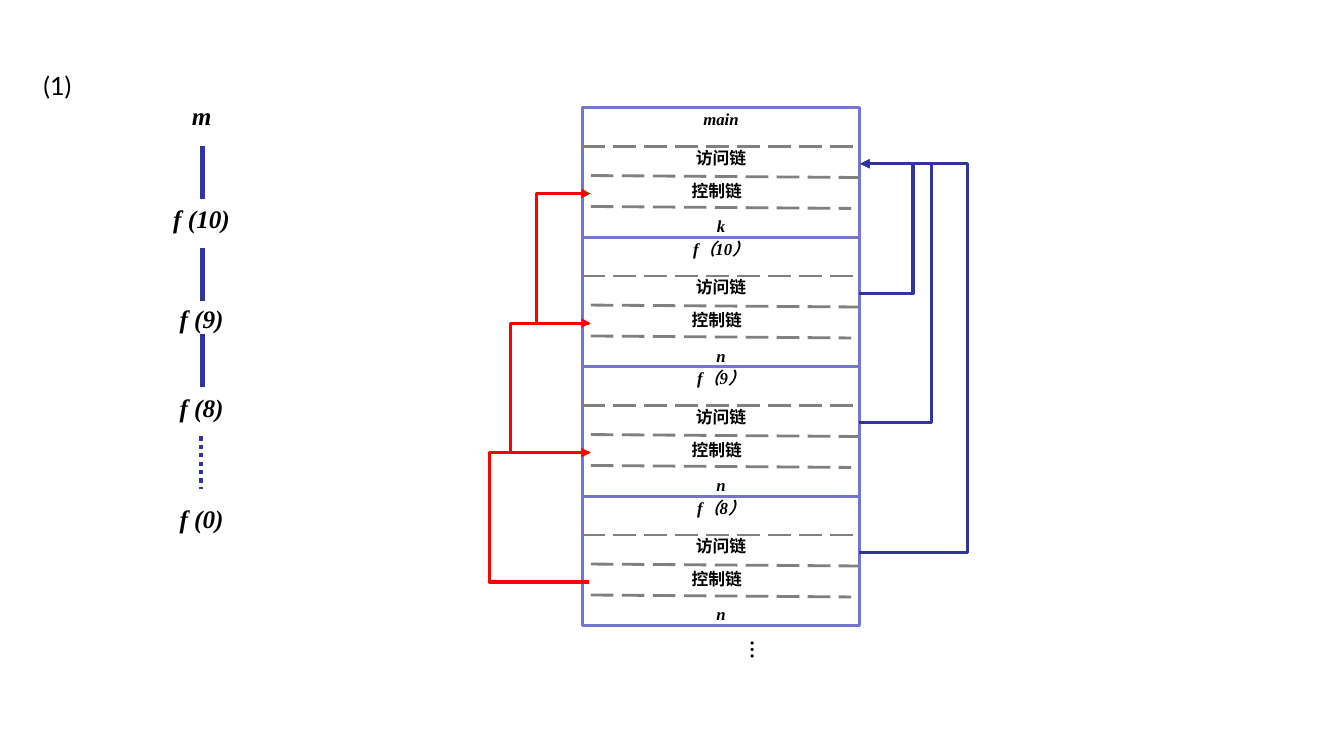
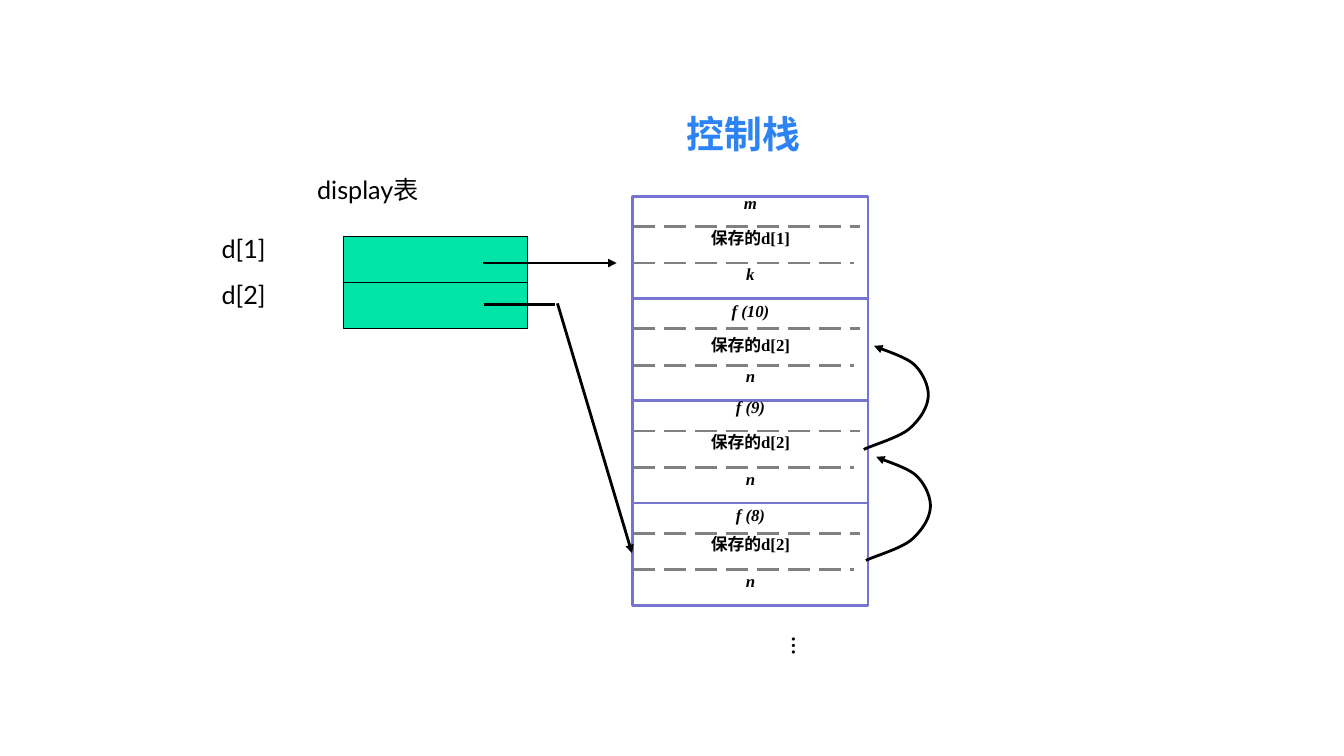
from collections import namedtuple

from pptx import Presentation
from pptx.dml.color import RGBColor
from pptx.enum.dml import MSO_LINE
from pptx.enum.shapes import MSO_CONNECTOR as CONNECTOR, MSO_SHAPE as SHAPE
from pptx.enum.text import MSO_ANCHOR, MSO_AUTO_SIZE as AUTO_SIZE, PP_ALIGN as ALIGN
from pptx.oxml.ns import qn
from pptx.util import Pt
from lxml.etree import SubElement

COLORS = {
    "ink": "000000",
    "frame": "7575D1",
    "dash": "808080",
    "access": "333399",
    "control": "FF0000",
    "title": "2D83F4",
    "cell": "00E4A8",
}
SANS, SERIF, HAN = "Lato", "Times New Roman", "Noto Sans CJK SC"

Box = namedtuple("Box", "left top width height")
Style = namedtuple("Style", "font size bold italic color", defaults=(False, False, "ink"))

PLAIN = Style(SANS, 18)
NODE = Style(SERIF, 18, True, True)
FIELD = Style(SERIF, 12, True, True)
SLOT = Style(SERIF, 12, True)
HAN_FIELD = Style(HAN, 12, True)
HEADING = Style(HAN, 27, True, False, "title")

STANDARD_INSET = (7.2, 3.6)
FIELD_INSET = (7.2, 0.7)


def color(name):
    return RGBColor.from_string(COLORS[name])


def points(values):
    return [Pt(value) for value in values]


def write(shape, runs, align=ALIGN.LEFT, inset=STANDARD_INSET):
    frame = shape.text_frame
    frame.word_wrap = True
    frame.auto_size = AUTO_SIZE.NONE
    frame.vertical_anchor = MSO_ANCHOR.TOP
    frame.margin_left = frame.margin_right = Pt(inset[0])
    frame.margin_top = frame.margin_bottom = Pt(inset[1])
    para = frame.paragraphs[0]
    para.alignment = align
    for words, style in runs:
        span = para.add_run()
        span.text = words
        font = span.font
        font.name, font.size = style.font, Pt(style.size)
        font.bold, font.italic = style.bold, style.italic
        font.color.rgb = color(style.color)
        SubElement(font._element, qn("a:ea")).set("typeface", HAN)


def add_text(page, box, runs, align=ALIGN.LEFT, inset=STANDARD_INSET):
    shape = page.shapes.add_textbox(*points(box))
    write(shape, runs, align, inset)
    return shape


def add_field(page, box, *runs):
    add_text(page, box, runs, ALIGN.CENTER, FIELD_INSET)


def add_title(page, box, runs, align=ALIGN.LEFT):
    title = page.shapes.title
    title.left, title.top, title.width, title.height = points(box)
    write(title, runs, align)


def add_ellipsis(page, box):
    shape = add_text(page, box, [("…", PLAIN)])
    shape.text_frame._txBody.bodyPr.set("vert", "eaVert")


def add_rectangle(page, box, line, weight, fill=None):
    shape = page.shapes.add_shape(SHAPE.RECTANGLE, *points(box))
    shape.shadow.inherit = False
    if fill:
        shape.fill.solid()
        shape.fill.fore_color.rgb = color(fill)
    else:
        shape.fill.background()
    shape.line.color.rgb = color(line)
    shape.line.width = Pt(weight)


def style_line(shape, name, weight, dash=None, arrow=False):
    line = shape.line
    line.color.rgb = color(name)
    line.width = Pt(weight)
    if dash:
        line.dash_style = dash
    if arrow:
        SubElement(line._get_or_add_ln(), qn("a:tailEnd")).set("type", "triangle")


def add_line(page, start, end, name, weight, dash=None, arrow=False, kind=CONNECTOR.STRAIGHT):
    line = page.shapes.add_connector(kind, *points((*start, *end)))
    style_line(line, name, weight, dash, arrow)
    SubElement(line._element.spPr, qn("a:effectLst"))
    return line


def add_dash(page, start, end):
    add_line(page, start, end, "dash", 2, MSO_LINE.LONG_DASH)


def add_link(page, x, start_y, end_y, bend_x, name):
    run = 1
    link = add_line(page, (x, start_y), (x + run, end_y), name, 2.25,
                    arrow=True, kind=CONNECTOR.ELBOW)
    guides = link._element.spPr.find(qn("a:prstGeom")).get_or_add_avLst()
    guide = SubElement(guides, qn("a:gd"))
    guide.set("name", "adj1")
    guide.set("fmla", f"val {round((bend_x - x) / run * 100000)}")


def bezier(start, first, second, end, steps=12):
    for step in range(1, steps + 1):
        t = step / steps
        weights = ((1 - t) ** 3, 3 * t * (1 - t) ** 2, 3 * t * t * (1 - t), t ** 3)
        corners = (start, first, second, end)
        yield tuple(sum(w * p[axis] for w, p in zip(weights, corners)) for axis in (0, 1))


def add_return_curve(page, box):
    shape_points = [
        (0, 1), (0.13, 0.96), (0.52, 0.89), (0.69, 0.81),
        (0.86, 0.72), (0.98, 0.61), (1, 0.5),
        (1.02, 0.4), (0.92, 0.26), (0.78, 0.18),
        (0.64, 0.1), (0.29, 0.04), (0.16, 0),
    ]
    knots = [(box.left + x * box.width, box.top + y * box.height) for x, y in shape_points]
    track = [point for i in range(0, len(knots) - 1, 3) for point in bezier(*knots[i:i + 4])]
    builder = page.shapes.build_freeform(*points(knots[0]), scale=1.0)
    builder.add_line_segments([points(point) for point in track], close=False)
    curve = builder.convert_to_shape()
    curve.shadow.inherit = False
    curve.fill.background()
    style_line(curve, "ink", 2, arrow=True)


def add_call_tree(page, box):
    middle = box.left + box.width / 2
    calls = [("m", 0), ("f (10)", 73.4), ("f (9)", 144.7), ("f (8)", 208), ("f (0)", 287.3)]
    for name, offset in calls:
        add_text(page, Box(box.left, box.top + offset, box.width, 35),
                 [(name, NODE)], ALIGN.CENTER)
    for offset, dash in [(36, None), (108.8, None), (170, None), (243.3, MSO_LINE.ROUND_DOT)]:
        x = middle - 0.7 if dash else middle + 0.6
        top = box.top + offset
        add_line(page, (x, top), (x, top + 37.8), "access", 3, dash)


def add_linked_record(page, box, name, variable):
    left, top, width, height = box
    add_rectangle(page, box, "frame", 2)
    add_field(page, Box(left, top, width, 19.4), (name, FIELD))
    add_field(page, Box(left, top + 27.5, width, 24.5), ("访问链", HAN_FIELD))
    add_field(page, Box(left + 6, top + 51.2, width - 18, 19.4), ("控制链", HAN_FIELD))
    add_field(page, Box(left, top + 76.4, width, 16), (variable, FIELD))
    for inset, offset, end, slope in [(0, 27.7, 198, 0), (6, 48.4, 198, 1.4), (6, 70.5, 192, 1.4)]:
        add_dash(page, (left + inset, top + offset), (left + end, top + offset + slope))


def add_linked_stack(page, box):
    records = [("main", "k"), ("f（10）", "n"), ("f（9）", "n"), ("f（8）", "n")]
    pitch = box.height / len(records)
    tops = [box.top + pitch * i for i in range(len(records))]
    for top, record in zip(tops, records):
        add_linked_record(page, Box(box.left, top, box.width, pitch), *record)
    right = box.left + box.width
    for top, reach in zip(tops[1:], (38.5, 52, 78)):
        add_link(page, right - 0.5, top + 40, tops[0] + 40, right + reach, "access")
    for below, above, reach in zip(tops[1:], tops, (33, 52, 67)):
        add_link(page, box.left + 5, below + 61.3, above + 61.3, box.left - reach, "control")


def add_display_record(page, box, name, slot, variable, name_top, slot_top):
    left, top, width, height = box
    for offset, length in [(47.5, width - 10), (21.6, width - 6)]:
        add_dash(page, (left, top + offset), (left + length, top + offset))
    add_rectangle(page, box, "frame", 2)
    add_field(page, Box(left, top + name_top, width, 21), (name, FIELD))
    add_field(page, Box(left, top + slot_top, width, 19.4), ("保存的", HAN_FIELD), (slot, SLOT))
    add_field(page, Box(left, top + 47.5, width, 19.4), (variable, FIELD))


def add_display_stack(page, box):
    records = [
        ("m", "d[1]", "k", -3.5, 21.5),
        ("f (10)", "d[2]", "n", 0.5, 25),
        ("f (9)", "d[2]", "n", -3.5, 21.5),
        ("f (8)", "d[2]", "n", 0.5, 21.5),
    ]
    pitch = box.height / len(records)
    for i, record in enumerate(records):
        add_display_record(page, Box(box.left, box.top + pitch * i, box.width, pitch), *record)
    for left, top in [(165, 106.7), (166.5, 186)]:
        add_return_curve(page, Box(box.left + left, box.top + top, 46, 74))


def add_display_table(page, box):
    left, top, width, height = box
    row = height / 2
    add_text(page, Box(left - 26, top - 48.2, 213, 44), [("display表", PLAIN)])
    for i, slot in enumerate(("d[1]", "d[2]")):
        add_rectangle(page, Box(left, top + row * i, width, row), "ink", 0.75, "cell")
        add_text(page, Box(left - 94.3, top - 5.8 + row * i, 80, 44), [(slot, PLAIN)])
    add_line(page, (left + 99.5, top + 18.7), (left + 195, top + 18.7), "ink", 2, arrow=True)
    add_line(page, (left + 100, top + 48.2), (left + 151, top + 48.2), "ink", 2)
    add_line(page, (left + 152.7, top + 47.5), (left + 206, top + 226), "ink", 2, arrow=True)


def build_chain_slide(page):
    add_title(page, Box(23.8, 46.8, 60, 29), [("(1)", PLAIN)])
    add_call_tree(page, Box(72, 68.4, 144, 322))
    add_ellipsis(page, Box(481, 450.7, 77, 59))
    add_linked_stack(page, Box(416, 77, 198, 370))


def build_display_slide(page):
    add_title(page, Box(416.9, 75.6, 228, 57), [("控制栈", HEADING)], ALIGN.CENTER)
    add_display_stack(page, Box(452, 140.3, 168, 292))
    add_display_table(page, Box(245.5, 169.2, 131, 65.4))
    add_ellipsis(page, Box(503.3, 447.8, 84, 78))


def main():
    deck = Presentation()
    deck.slide_width, deck.slide_height = Pt(960), Pt(540)
    for build in (build_chain_slide, build_display_slide):
        build(deck.slides.add_slide(deck.slide_layouts[5]))
    deck.save("out.pptx")


if __name__ == "__main__":
    main()
